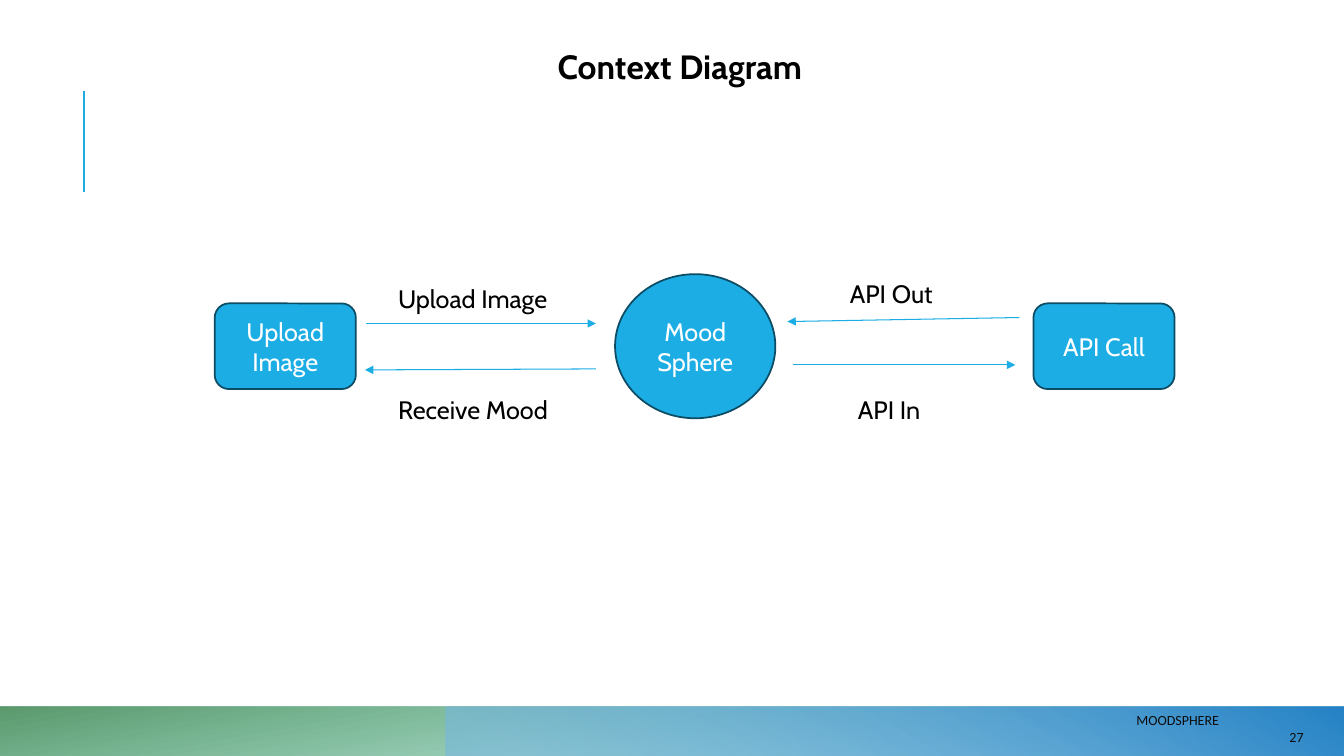
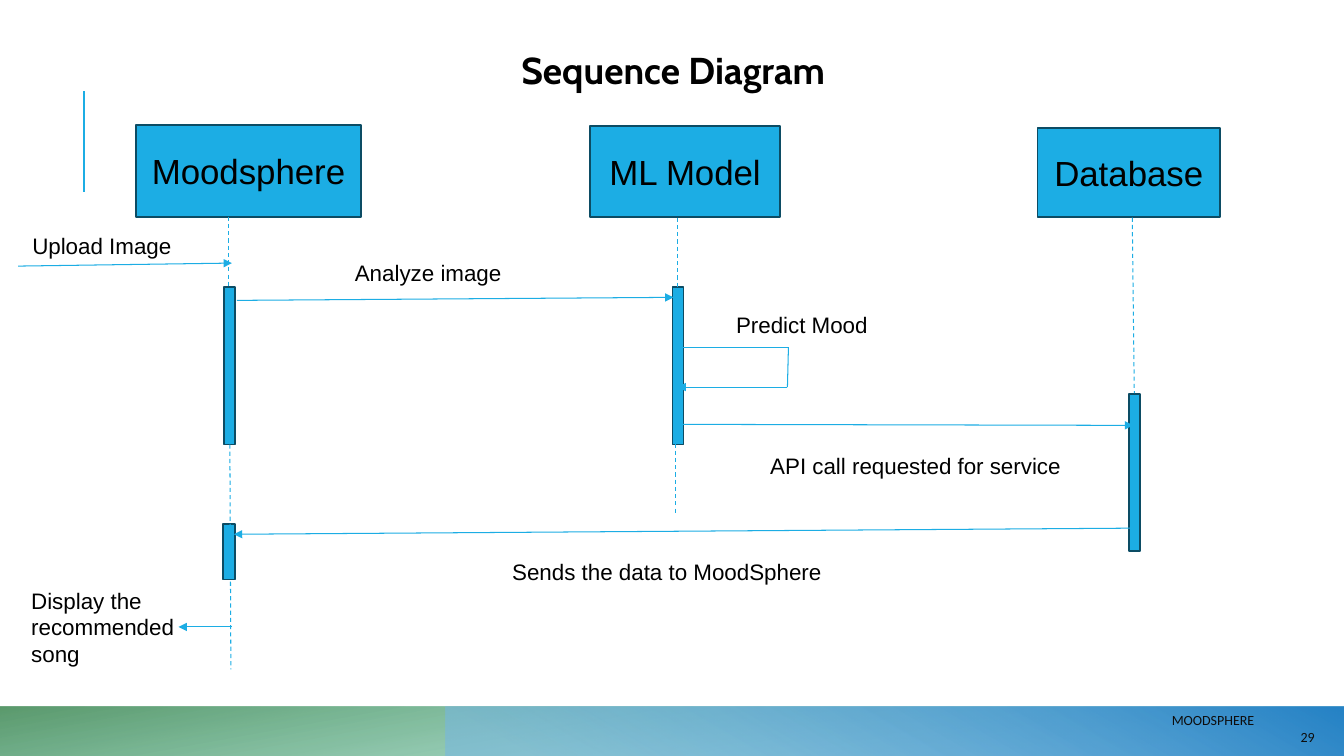
from dataclasses import dataclass

from lxml import etree
from pptx import Presentation
from pptx.dml.color import RGBColor
from pptx.enum.dml import MSO_LINE
from pptx.enum.shapes import MSO_CONNECTOR, MSO_SHAPE
from pptx.enum.text import MSO_ANCHOR, MSO_AUTO_SIZE, PP_ALIGN
from pptx.oxml.ns import qn
from pptx.presentation import Presentation as Deck
from pptx.shapes.autoshape import Shape
from pptx.slide import Slide
from pptx.util import Emu, Pt

RECT, ROUNDED, OVAL = MSO_SHAPE.RECTANGLE, MSO_SHAPE.ROUNDED_RECTANGLE, MSO_SHAPE.OVAL
STRAIGHT, DASH = MSO_CONNECTOR.STRAIGHT, MSO_LINE.DASH
TOP, MIDDLE = MSO_ANCHOR.TOP, MSO_ANCHOR.MIDDLE
LEFT, CENTER, RIGHT = PP_ALIGN.LEFT, PP_ALIGN.CENTER, PP_ALIGN.RIGHT
FIXED_SIZE = MSO_AUTO_SIZE.NONE

BLACK = RGBColor(0x00, 0x00, 0x00)
WHITE = RGBColor(0xFF, 0xFF, 0xFF)
INK = RGBColor(0x0D, 0x0D, 0x0D)
SKY = RGBColor(0x1C, 0xAD, 0xE4)
NAVY = RGBColor(0x0C, 0x4C, 0x64)
MINT = RGBColor(0x42, 0xBA, 0x97)
GREEN = RGBColor(0x3E, 0x88, 0x53)
PALE_BLUE = RGBColor(0x75, 0xB6, 0xE5)
BLUE = RGBColor(0x26, 0x83, 0xC6)

EMU_PER_PX = 9144  # 100 px to the inch
PAGE_WIDTH, PAGE_HEIGHT = 1333, 750
TITLE_ONLY = 5


@dataclass(frozen=True)
class Area:
    left: int
    top: int
    width: int
    height: int


@dataclass(frozen=True)
class TextStyle:
    font: str
    size: float
    color: RGBColor = BLACK
    bold: bool = False
    align: PP_ALIGN = LEFT
    anchor: MSO_ANCHOR = TOP
    margin_x: int = 10
    margin_y: int = 5


@dataclass(frozen=True)
class Stop:
    position: float
    color: RGBColor
    opacity: int = 100


@dataclass(frozen=True)
class Band:
    area: Area
    stops: tuple[Stop, Stop]
    angle: int
    rotation: int = 0


@dataclass(frozen=True)
class Node:
    area: Area
    text: str = ""
    kind: MSO_SHAPE = RECT


@dataclass(frozen=True)
class Label:
    area: Area
    text: str


@dataclass(frozen=True)
class Line:
    start: tuple[int, int]
    end: tuple[int, int]
    arrow: bool = True
    dashed: bool = False
    weight: float = 0.75


CONTEXT_TITLE = TextStyle("Cabin", 24, bold=True)
CONTEXT_NODE = TextStyle("Cabin", 18, WHITE, align=CENTER, anchor=MIDDLE)
CONTEXT_LABEL = TextStyle("Cabin", 18)
SEQUENCE_TITLE = TextStyle("Cabin", 26.7, bold=True, margin_x=13, margin_y=13)
SEQUENCE_NODE = TextStyle("Arial", 24.9, align=CENTER, anchor=MIDDLE, margin_x=13, margin_y=7)
SEQUENCE_LABEL = TextStyle("Arial", 16, margin_x=13, margin_y=7)
FOOTER = TextStyle("Calibri", 10, INK, align=RIGHT, anchor=MIDDLE, margin_x=0, margin_y=0)

ACCENT_LINE = Line((83, 190), (83, 90), arrow=False, weight=1.5)
BANDS = (
    Band(Area(0, 701, PAGE_WIDTH, 50), (Stop(0.14, MINT, 28), Stop(1, GREEN, 85)), 100, 180),
    Band(Area(442, 701, 892, 50), (Stop(0.09, PALE_BLUE, 55), Stop(0.99, BLUE)), 240),
)

CONTEXT_NODES = (
    Node(Area(610, 272, 159, 143), "Mood\nSphere", OVAL),
    Node(Area(213, 301, 140, 85), "Upload Image", ROUNDED),
    Node(Area(1025, 301, 140, 85), "API Call", ROUNDED),
)
CONTEXT_LINES = (
    Line((363, 321), (591, 321)),
    Line((787, 362), (1007, 362)),
    Line((591, 366), (362, 367)),
    Line((1011, 315), (781, 319)),
)
CONTEXT_LABELS = (
    Label(Area(385, 276, 184, 40), "Upload Image"),
    Label(Area(385, 386, 184, 40), "Receive Mood"),
    Label(Area(833, 271, 184, 40), "API Out"),
    Label(Area(841, 386, 184, 40), "API In"),
)

PARTICIPANTS = (
    Node(Area(135, 124, 223, 91), "Moodsphere"),
    Node(Area(585, 125, 189, 90), "ML Model"),
    Node(Area(1029, 127, 181, 88), "Database"),
)
ACTIVATIONS = (
    Node(Area(222, 285, 11, 156)),
    Node(Area(667, 285, 11, 156)),
    Node(Area(1120, 391, 11, 156)),
    Node(Area(221, 520, 12, 55)),
)
LIFELINES = tuple(
    Line(start, end, arrow=False, dashed=True)
    for start, end in (
        ((227, 215), (227, 284)),
        ((228, 441), (229, 664)),
        ((672, 216), (672, 285)),
        ((670, 440), (670, 509)),
        ((1123, 216), (1125, 390)),
    )
)
MESSAGES = (
    Line((18, 264), (230, 261)),
    Line((235, 298), (668, 295)),
    Line((676, 345), (783, 345), arrow=False),
    Line((782, 345), (781, 384), arrow=False),
    Line((781, 384), (672, 384)),
    Line((677, 421), (1124, 422)),
    Line((1121, 524), (232, 530)),
    Line((230, 622), (177, 622)),
)
SEQUENCE_LABELS = (
    Label(Area(19, 223, 168, 40), "Upload Image"),
    Label(Area(339, 250, 224, 40), "Analyze image"),
    Label(Area(717, 302, 168, 40), "Predict Mood"),
    Label(Area(751, 442, 317, 40), "API call requested for service"),
    Label(Area(495, 547, 388, 40), "Sends the data to MoodSphere"),
    Label(Area(18, 575, 180, 94), "Display the recommended song"),
)


def px(length: int) -> Emu:
    return Emu(length * EMU_PER_PX)


def box_of(area: Area) -> tuple[Emu, Emu, Emu, Emu]:
    return px(area.left), px(area.top), px(area.width), px(area.height)


def write_text(box: Shape, text: str, style: TextStyle) -> None:
    frame = box.text_frame
    frame.text = text
    frame.word_wrap = True
    frame.auto_size = FIXED_SIZE
    frame.vertical_anchor = style.anchor
    frame.margin_left = frame.margin_right = px(style.margin_x)
    frame.margin_top = frame.margin_bottom = px(style.margin_y)
    for para in frame.paragraphs:
        para.alignment = style.align
        para.font.name = style.font
        para.font.size = Pt(style.size)
        para.font.bold = style.bold
        para.font.color.rgb = style.color


def add_label(page: Slide, label: Label, style: TextStyle) -> None:
    write_text(page.shapes.add_textbox(*box_of(label.area)), label.text, style)


def add_node(page: Slide, node: Node, style: TextStyle) -> None:
    box = page.shapes.add_shape(node.kind, *box_of(node.area))
    box.shadow.inherit = False
    box.fill.solid()
    box.fill.fore_color.rgb = SKY
    box.line.color.rgb = NAVY
    box.line.width = Pt(1.25)
    if node.text:
        write_text(box, node.text, style)


def add_line(page: Slide, line: Line) -> None:
    connector = page.shapes.add_connector(STRAIGHT, *map(px, line.start + line.end))
    connector.line.color.rgb = SKY
    connector.line.width = Pt(line.weight)
    if line.dashed:
        connector.line.dash_style = DASH
    properties = connector.element.spPr
    if line.arrow:
        etree.SubElement(properties.find(qn("a:ln")), qn("a:tailEnd"), type="triangle")
    etree.SubElement(properties, qn("a:effectLst"))


def add_band(page: Slide, band: Band) -> None:
    """Draw a mirrored gradient strip with translucent stops."""
    strip = page.shapes.add_shape(RECT, *box_of(band.area))
    strip.shadow.inherit = False
    strip.line.fill.background()
    strip.rotation = band.rotation
    properties = strip.element.spPr
    properties.find(qn("a:xfrm")).set("flipH", "1")
    strip.fill.gradient()
    strip.fill.gradient_angle = 360 - band.angle
    for gradient_stop, stop in zip(strip.fill.gradient_stops, band.stops):
        gradient_stop.position = stop.position
        gradient_stop.color.rgb = stop.color
    for color, stop in zip(properties.iter(qn("a:srgbClr")), band.stops):
        if stop.opacity < 100:
            etree.SubElement(color, qn("a:alpha"), val=str(stop.opacity * 1000))


def add_page(deck: Deck, title: Label, style: TextStyle, number: int,
             name_right: int, number_right: int) -> Slide:
    """Add a slide with its title, accent line, bands and footer."""
    page = deck.slides.add_slide(deck.slide_layouts[TITLE_ONLY])
    heading = page.shapes.title
    heading.left, heading.top, heading.width, heading.height = box_of(title.area)
    write_text(heading, title.text, style)
    add_line(page, ACCENT_LINE)
    for band in BANDS:
        add_band(page, band)
    add_label(page, Label(Area(name_right - 120, 706, 120, 16), "MOODSPHERE"), FOOTER)
    add_label(page, Label(Area(number_right - 40, 723, 40, 16), str(number)), FOOTER)
    return page


def add_diagram(page: Slide, nodes: tuple[Node, ...], lines: tuple[Line, ...],
                labels: tuple[Label, ...], node_style: TextStyle,
                label_style: TextStyle) -> None:
    for node in nodes:
        add_node(page, node, node_style)
    for line in lines:
        add_line(page, line)
    for label in labels:
        add_label(page, label, label_style)


def main() -> None:
    deck = Presentation()
    deck.slide_width, deck.slide_height = px(PAGE_WIDTH), px(PAGE_HEIGHT)

    context = add_page(deck, Label(Area(543, 41, 315, 50), "Context Diagram"),
                       CONTEXT_TITLE, 27, name_right=1209, number_right=1293)
    add_diagram(context, CONTEXT_NODES, CONTEXT_LINES, CONTEXT_LABELS,
                CONTEXT_NODE, CONTEXT_LABEL)

    sequence = add_page(deck, Label(Area(504, 34, 372, 48), "Sequence Diagram"),
                        SEQUENCE_TITLE, 29, name_right=1244, number_right=1304)
    add_diagram(sequence, PARTICIPANTS + ACTIVATIONS, LIFELINES + MESSAGES,
                SEQUENCE_LABELS, SEQUENCE_NODE, SEQUENCE_LABEL)

    deck.save("out.pptx")


if __name__ == "__main__":
    main()
